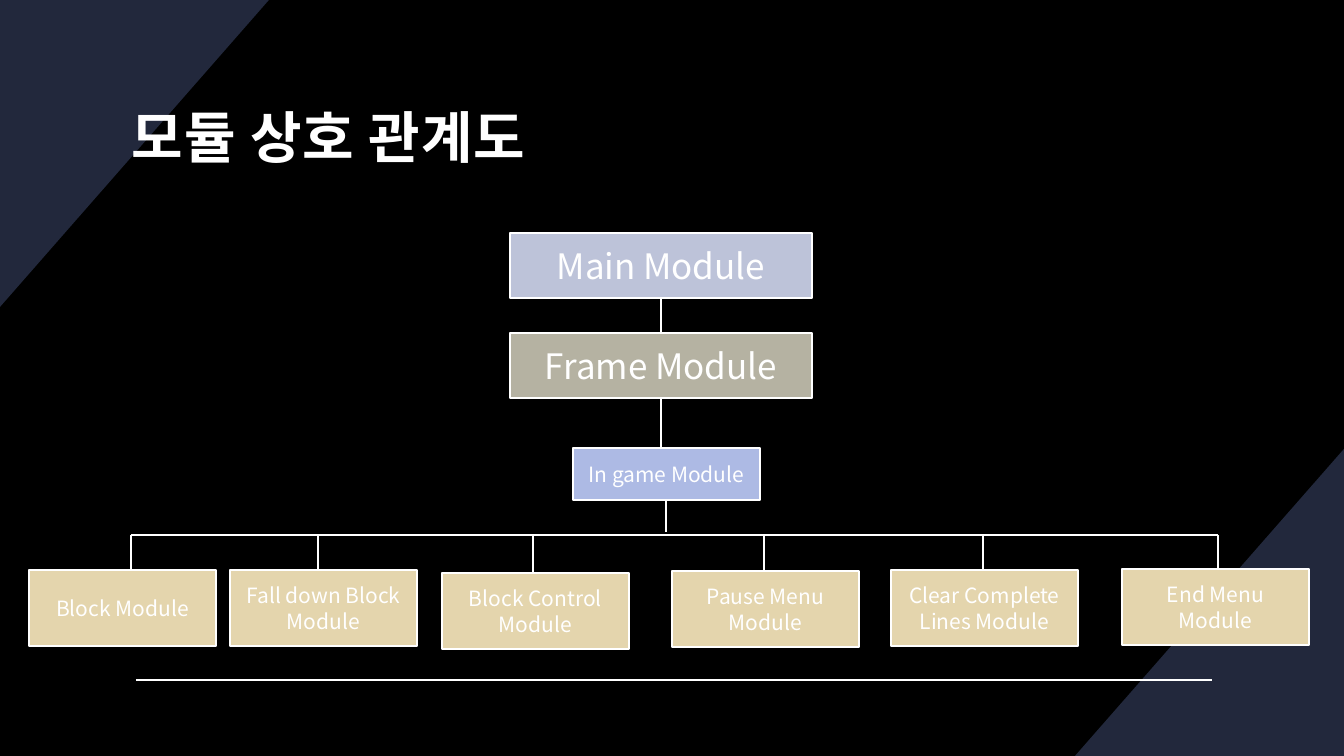
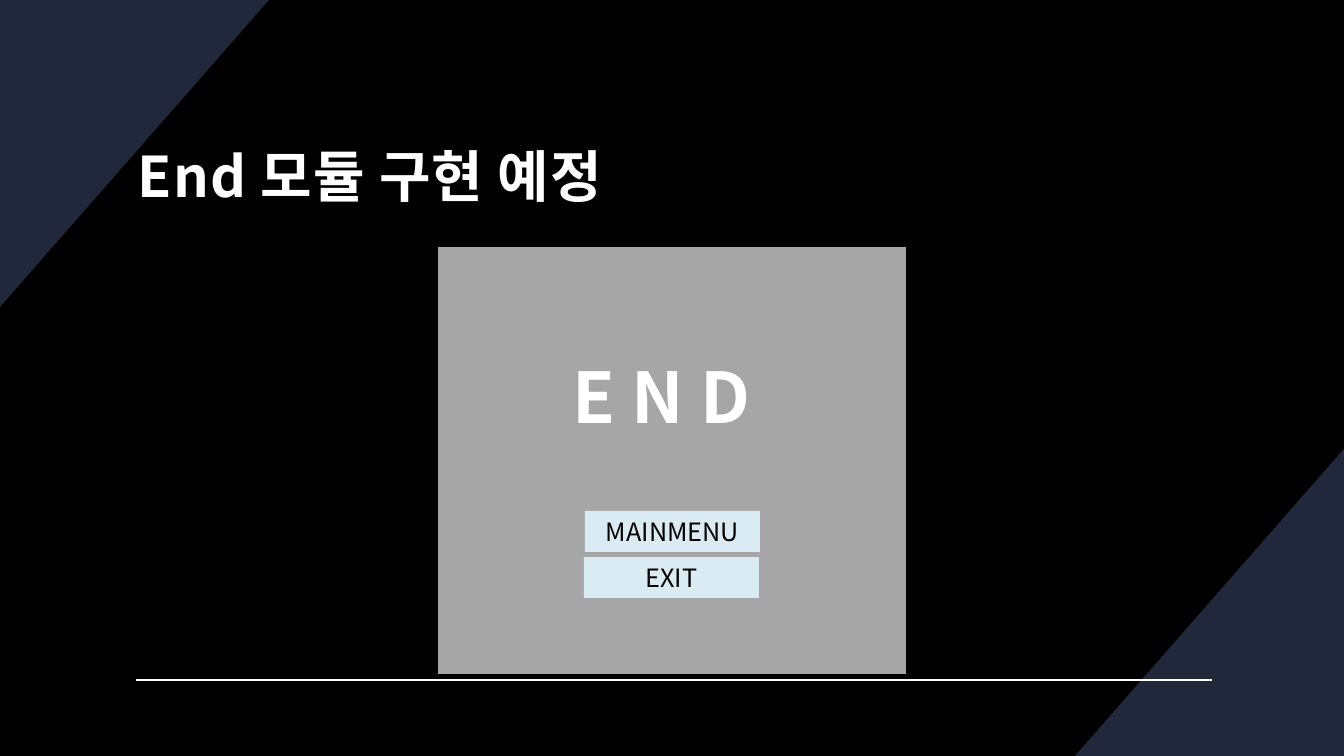
from lxml import etree
from pptx import Presentation
from pptx.dml.color import RGBColor
from pptx.enum.shapes import MSO_CONNECTOR, MSO_SHAPE
from pptx.enum.text import MSO_ANCHOR, MSO_AUTO_SIZE, PP_ALIGN
from pptx.oxml.ns import qn
from pptx.util import Emu, Pt

WIDTH, HEIGHT = 1344, 756
EMU_PER_PX = 12192000 / WIDTH
FONT = "Noto Sans CJK KR"

BLACK = RGBColor(0x00, 0x00, 0x00)
WHITE = RGBColor(0xFF, 0xFF, 0xFF)
NAVY = RGBColor(0x22, 0x28, 0x3C)
LAVENDER = RGBColor(0xBD, 0xC3, 0xD9)
STONE = RGBColor(0xB5, 0xB2, 0xA2)
PERIWINKLE = RGBColor(0xAD, 0xBA, 0xE4)
SAND = RGBColor(0xE4, 0xD5, 0xAD)
GRAY = RGBColor(0xA6, 0xA6, 0xA6)
PALE_BLUE = RGBColor(0xDB, 0xEB, 0xF3)

# Leaf modules: text, left, top, x of the line above
LEAF_MODULES = [
    ("Block Module", 29, 570, 131),
    ("Fall down Block Module", 230, 570, 318),
    ("Block Control Module", 442, 573, 533),
    ("Pause Menu\nModule", 672, 571, 764),
    ("Clear Complete Lines Module", 891, 570, 983),
    ("End Menu Module", 1122, 569, 1218),
]


def px(*values):
    return [Emu(round(value * EMU_PER_PX)) for value in values]


def format_text(text_frame, size, color, bold=False, align=PP_ALIGN.CENTER, spacing=None):
    for paragraph in text_frame.paragraphs:
        paragraph.alignment = align
        for run in paragraph.runs:
            font = run.font
            font.size, font.bold, font.name = Pt(size), bold, FONT
            font.color.rgb = color
            properties = run._r.get_or_add_rPr()
            etree.SubElement(properties, qn("a:ea"), typeface=FONT)
            if spacing is not None:
                properties.set("spc", str(round(spacing * 100)))


def paint(shape, fill, line=None):
    shape.shadow.inherit = False
    shape.fill.solid()
    shape.fill.fore_color.rgb = fill
    if line is None:
        shape.line.fill.background()
    else:
        shape.line.color.rgb = line
        shape.line.width = Pt(1)


def add_box(slide, box, fill, line=None, text="", size=15, color=WHITE):
    shape = slide.shapes.add_shape(MSO_SHAPE.RECTANGLE, *px(*box))
    paint(shape, fill, line)
    if text:
        shape.text_frame.text = text
        shape.text_frame.vertical_anchor = MSO_ANCHOR.MIDDLE
        format_text(shape.text_frame, size, color)
    return shape


def add_line(slide, x1, y1, x2, y2):
    line = slide.shapes.add_connector(MSO_CONNECTOR.STRAIGHT, *px(x1, y1, x2, y2))
    line.line.color.rgb = WHITE
    line.line.width = Pt(1)
    etree.SubElement(line.element.spPr, qn("a:effectLst"))
    return line


def add_corner(slide, *points):
    builder = slide.shapes.build_freeform(*points[0], scale=EMU_PER_PX)
    builder.add_line_segments(points[1:], close=True)
    shape = builder.convert_to_shape()
    paint(shape, NAVY)
    return shape


def decorate_layout(layout, slide):
    """Draw the shared decoration, then move it to the layout."""
    decoration = [
        add_corner(slide, (WIDTH, 449), (WIDTH, HEIGHT), (1075, HEIGHT)),
        add_corner(slide, (0, 307), (0, 0), (269, 0)),
        add_line(slide, 136, 680, 1212, 680),
    ]
    for number, shape in enumerate(decoration, start=101):
        shape.element.xpath(".//p:cNvPr")[0].set("id", str(number))
        layout.shapes.element.append(shape.element)


def set_title(slide, text, left, top):
    title = slide.shapes.title
    title.left, title.top, title.width, title.height = px(left, top, 1092, 150)
    frame = title.text_frame
    frame.text = text
    frame.word_wrap = True
    frame.auto_size = MSO_AUTO_SIZE.NONE
    frame.vertical_anchor = MSO_ANCHOR.MIDDLE
    (frame.margin_left, frame.margin_top,
     frame.margin_right, frame.margin_bottom) = px(12, 12, 12, 10)
    frame.paragraphs[0].line_spacing = 1.1
    format_text(frame, 40, WHITE, bold=True, align=PP_ALIGN.LEFT, spacing=0.7)


def build_module_diagram(slide):
    set_title(slide, "모듈 상호 관계도", 120, 57)

    # Upper levels
    add_box(slide, (510, 233, 302, 65), LAVENDER, WHITE, "Main Module", 25)
    add_box(slide, (510, 333, 302, 65), STONE, WHITE, "Frame Module", 25)
    add_line(slide, 661, 298, 661, 333)
    add_line(slide, 661, 398, 661, 448)
    add_box(slide, (573, 448, 187, 52), PERIWINKLE, WHITE, "In game Module")
    add_line(slide, 666, 500, 666, 532)

    # Branches and leaf modules
    bus_y = 535
    add_line(slide, LEAF_MODULES[0][3], bus_y, LEAF_MODULES[-1][3], bus_y)
    for text, left, top, branch_x in LEAF_MODULES:
        add_line(slide, branch_x, bus_y, branch_x, top)
        add_box(slide, (left, top, 187, 76), SAND, WHITE, text)


def build_end_screen(slide):
    set_title(slide, "End 모듈 구현 예정", 126, 96)

    # Game window
    add_box(slide, (437, 246, 470, 429), GRAY, BLACK)
    heading = slide.shapes.add_textbox(*px(563, 349, 217, 95)).text_frame
    heading.text = "E N D"
    heading.word_wrap = False
    heading.auto_size = MSO_AUTO_SIZE.SHAPE_TO_FIT_TEXT
    format_text(heading, 50, WHITE, bold=True, align=PP_ALIGN.LEFT)

    # Buttons
    for text, left, top in [("MAINMENU", 585, 511), ("EXIT", 584, 557)]:
        add_box(slide, (left, top, 175, 41), PALE_BLUE, text=text, size=18, color=BLACK)


def main():
    presentation = Presentation()
    presentation.slide_width, presentation.slide_height = px(WIDTH, HEIGHT)
    background = presentation.slide_master.background.fill
    background.solid()
    background.fore_color.rgb = BLACK

    layout = presentation.slide_layouts[5]
    slides = [presentation.slides.add_slide(layout) for _ in range(2)]
    decorate_layout(layout, slides[0])
    build_module_diagram(slides[0])
    build_end_screen(slides[1])
    presentation.save("out.pptx")


if __name__ == "__main__":
    main()
